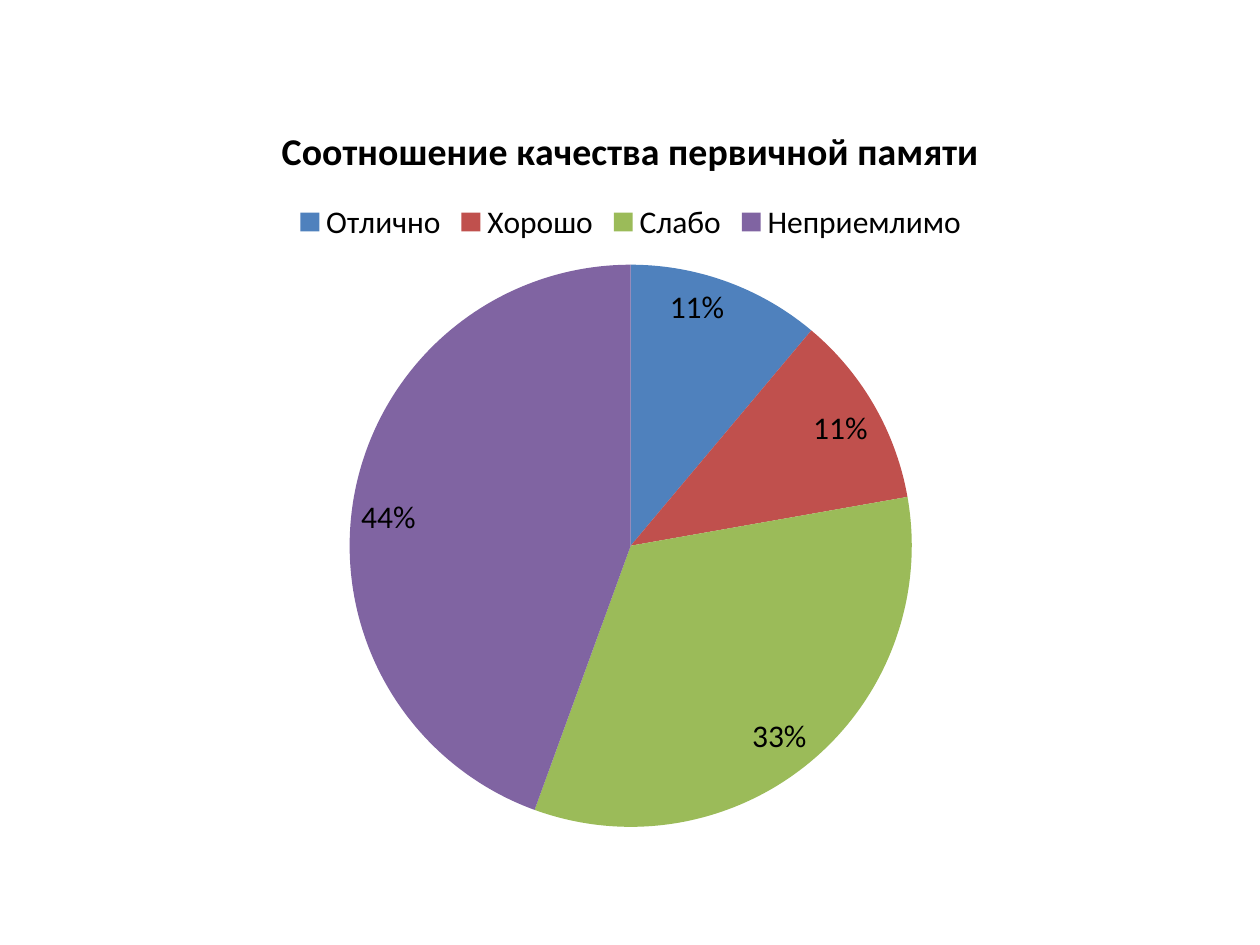
from pptx import Presentation
from pptx.chart.data import CategoryChartData
from pptx.dml.color import RGBColor
from pptx.enum.chart import XL_CHART_TYPE as ChartType
from pptx.enum.chart import XL_LABEL_POSITION as LabelPosition
from pptx.enum.chart import XL_LEGEND_POSITION as LegendPosition
from pptx.util import Cm, Pt

BLACK = RGBColor(0x00, 0x00, 0x00)
BLUE = RGBColor(0x4F, 0x81, 0xBD)
RED = RGBColor(0xC0, 0x50, 0x4D)
GREEN = RGBColor(0x9B, 0xBB, 0x59)
PURPLE = RGBColor(0x80, 0x64, 0xA2)

HEADING = "Соотношение качества первичной памяти"
RATINGS = [
    ("Отлично", 11, BLUE),
    ("Хорошо", 11, RED),
    ("Слабо", 33, GREEN),
    ("Неприемлимо", 44, PURPLE),
]

BODY_FONT = {"name": "Calibri", "size": Pt(18), "bold": False}
HEADING_FONT = {"name": "Calibri", "size": Pt(21.6), "bold": True}
LEGEND_FORMAT = {"position": LegendPosition.TOP, "include_in_layout": False}
PERCENT_FORMAT = {
    "show_percentage": True,
    "show_value": False,
    "number_format": "0%",
    "number_format_is_linked": False,
    "position": LabelPosition.INSIDE_END,
}


def apply(target, values):
    for key, value in values.items():
        setattr(target, key, value)


def style_font(font, values):
    apply(font, values)
    font.color.rgb = BLACK


def add_memory_pie(slide):
    names, shares, colours = zip(*RATINGS)
    memory = CategoryChartData()
    memory.categories = names
    memory.add_series("Series 1", shares)
    pie = slide.shapes.add_chart(
        ChartType.PIE, Cm(1.3), Cm(1.93), Cm(22.83), Cm(15.09), memory
    ).chart
    style_font(pie.font, BODY_FONT)

    pie.has_title = True
    heading = pie.chart_title.text_frame
    heading.text = HEADING
    style_font(heading.paragraphs[0].runs[0].font, HEADING_FONT)

    pie.has_legend = True
    apply(pie.legend, LEGEND_FORMAT)
    style_font(pie.legend.font, BODY_FONT)

    plot = pie.plots[0]
    plot.vary_by_categories = True
    plot.has_data_labels = True
    apply(plot.data_labels, PERCENT_FORMAT)
    style_font(plot.data_labels.font, BODY_FONT)

    for index, colour in enumerate(colours):
        slice_fill = plot.series[0].points[index].format.fill
        slice_fill.solid()
        slice_fill.fore_color.rgb = colour


def main():
    deck = Presentation()
    apply(deck, {"slide_width": Cm(25.4), "slide_height": Cm(19.05)})
    add_memory_pie(deck.slides.add_slide(deck.slide_layouts[6]))
    deck.save("out.pptx")


if __name__ == "__main__":
    main()
